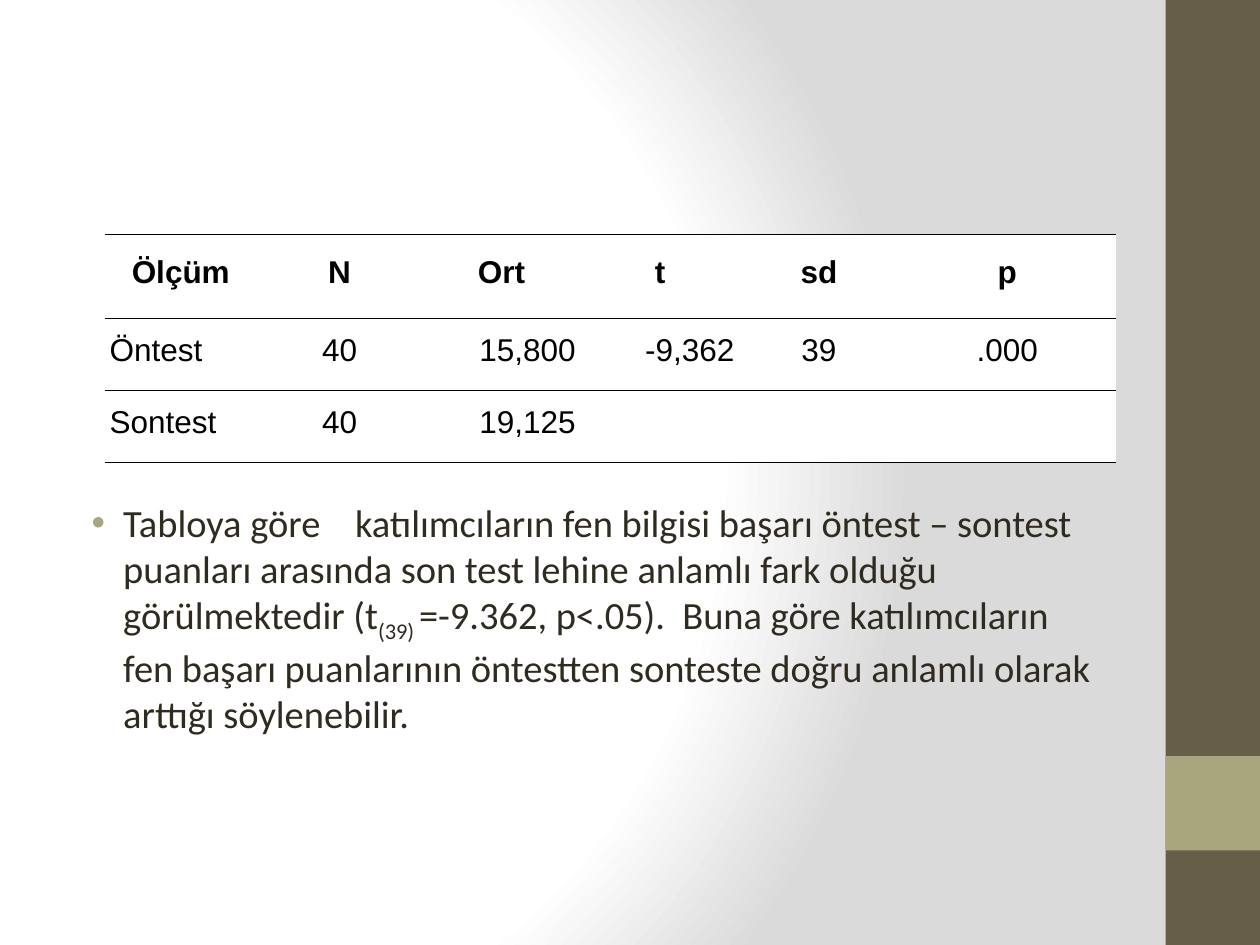
from dataclasses import dataclass

from lxml import etree
from pptx import Presentation
from pptx import util as u
from pptx.dml.color import RGBColor
from pptx.enum import shapes, text
from pptx.oxml import parse_xml
from pptx.oxml.ns import nsdecls, qn

WIDE, HIGH = 10, 7.5
BLACK = RGBColor(0, 0, 0)
WHITE = RGBColor(255, 255, 255)
GREY = RGBColor(0xDA, 0xDA, 0xDA)
BROWN = RGBColor(0x67, 0x5E, 0x47)
SAGE = RGBColor(0xA9, 0xA5, 0x7C)
INK = RGBColor(0x2F, 0x2B, 0x20)
LEFT, MID, RIGHT = text.PP_ALIGN.LEFT, text.PP_ALIGN.CENTER, text.PP_ALIGN.RIGHT


@dataclass(frozen=True)
class Band:
    """A side band, with top and height as shares of the slide."""
    top: float
    high: float
    color: RGBColor


@dataclass(frozen=True)
class Column:
    """A table column, with its width, body alignment and texts."""
    wide: float
    align: text.PP_ALIGN
    texts: tuple[str, ...]


@dataclass(frozen=True)
class Piece:
    """A run of the body text."""
    words: str
    base: int = 0


BANDS = (Band(0, 1, BROWN), Band(0.8, 0.1, SAGE))
COLUMNS = (
    Column(1.21, LEFT, ("Ölçüm", "Öntest", "Sontest")),
    Column(1.31, MID, ("N", "40", "40")),
    Column(1.26, RIGHT, ("Ort", "15,800", "19,125")),
    Column(1.26, RIGHT, ("t", "-9,362", "")),
    Column(1.26, MID, ("sd", "39", "")),
    Column(1.73, MID, ("p", ".000", "")),
)
ROWS = (0.67, 0.57, 0.57)
PIECES = (
    Piece("Tabloya göre    katılımcıların fen bilgisi başarı öntest – sontest "
          "puanları arasında son test lehine anlamlı fark olduğu görülmektedir (t"),
    Piece("(39) ", -25000),
    Piece("=-9.362, p<.05).  Buna göre katılımcıların fen başarı puanlarının "
          "öntestten sonteste doğru anlamlı olarak arttığı söylenebilir."),
)


def style(run, font: str, size: int, color: RGBColor, bold: bool = False) -> None:
    """Set the font of a run."""
    run.font.name, run.font.size, run.font.bold = font, u.Pt(size), bold
    run.font.color.rgb = color


def add_back(slide) -> None:
    """Give the slide a round gradient."""
    stops = "".join(
        f'<a:gs pos="{pos}"><a:srgbClr val="{color}"/></a:gs>'
        for pos, color in ((0, WHITE), (75000, WHITE), (100000, GREY)))
    slide.element.cSld.insert(0, parse_xml(
        f'<p:bg {nsdecls("p", "a")}><p:bgPr><a:gradFill rotWithShape="1">'
        f'<a:gsLst>{stops}</a:gsLst><a:path path="circle">'
        '<a:fillToRect l="20000" t="50000" r="100000" b="50000"/></a:path>'
        '</a:gradFill><a:effectLst/></p:bgPr></p:bg>'))


def add_band(slide, band: Band) -> None:
    """Draw a band at the right edge."""
    wide = 0.075 * WIDE
    box = slide.shapes.add_shape(
        shapes.MSO_SHAPE.RECTANGLE, u.Inches(WIDE - wide), u.Inches(band.top * HIGH),
        u.Inches(wide), u.Inches(band.high * HIGH))
    box.shadow.inherit = False
    box.fill.solid()
    box.fill.fore_color.rgb = band.color
    box.line.fill.background()


def add_rule(cell, side: str) -> None:
    """Draw a thin line on one side of a cell."""
    props = cell._tc.get_or_add_tcPr()
    lines = len(props.findall(qn("a:lnT")))
    props.insert(lines, parse_xml(
        f'<a:{side} {nsdecls("a")} w="12700"><a:solidFill>'
        f'<a:srgbClr val="{BLACK}"/></a:solidFill></a:{side}>'))


def fill_cell(cell, words: str, align: text.PP_ALIGN, head: bool) -> None:
    """Write and format one cell."""
    cell.fill.solid()
    cell.fill.fore_color.rgb = WHITE
    cell.margin_left = cell.margin_right = cell.margin_top = cell.margin_bottom = 0
    cell.vertical_anchor = text.MSO_ANCHOR.MIDDLE
    para = cell.text_frame.paragraphs[0]
    para.text = words
    para.alignment = MID if head else align
    para.line_spacing = u.Pt(16)
    for side in ("marL", "marR"):
        para._p.get_or_add_pPr().set(side, str(u.Inches(0.04)))
    for run in para.runs:
        style(run, "Arial", 18, BLACK, head)


def add_grid(slide) -> None:
    """Build the table of test scores."""
    frame = slide.shapes.add_table(
        len(ROWS), len(COLUMNS), u.Inches(0.83), u.Inches(1.86),
        u.Inches(sum(col.wide for col in COLUMNS)), u.Inches(sum(ROWS)))
    grid = frame.table
    grid.horz_banding = grid.first_row = False
    grid._tbl.tblPr.find(qn("a:tableStyleId")).text = (
        "{2D5ABB26-0587-4C30-8999-92F81FD0307C}")
    for row, high in enumerate(ROWS):
        grid.rows[row].height = u.Inches(high)
    for place, col in enumerate(COLUMNS):
        grid.columns[place].width = u.Inches(col.wide)
        for row, words in enumerate(col.texts):
            cell = grid.cell(row, place)
            fill_cell(cell, words, col.align, row == 0)
            if row < 2:
                add_rule(cell, "lnT")
            if row != 1:
                add_rule(cell, "lnB")


def add_body(slide) -> None:
    """Write the bulleted finding."""
    box = slide.shapes.add_textbox(
        u.Inches(0.5), u.Inches(3.91), u.Inches(8.33), u.Inches(3.09))
    box.text_frame.word_wrap = True
    para = box.text_frame.paragraphs[0]
    for piece in PIECES:
        run = para.add_run()
        run.text = piece.words
        style(run, "Calibri", 22, INK)
        if piece.base:
            run.font._element.set("baseline", str(piece.base))
    props = para._p.get_or_add_pPr()
    props.set("marL", str(u.Inches(0.38)))
    props.set("indent", str(u.Inches(-0.25)))
    gap = etree.SubElement(props, qn("a:spcBef"))
    etree.SubElement(gap, qn("a:spcPct")).set("val", "20000")
    tint = etree.SubElement(props, qn("a:buClr"))
    etree.SubElement(tint, qn("a:srgbClr")).set("val", str(SAGE))
    etree.SubElement(props, qn("a:buFont")).set("typeface", "Arial")
    etree.SubElement(props, qn("a:buChar")).set("char", "•")


def main() -> None:
    """Build and save the slide."""
    deck = Presentation()
    deck.slide_width, deck.slide_height = u.Inches(WIDE), u.Inches(HIGH)
    slide = deck.slides.add_slide(deck.slide_layouts[6])
    add_back(slide)
    for band in BANDS:
        add_band(slide, band)
    add_body(slide)
    add_grid(slide)
    deck.save("out.pptx")


main()
